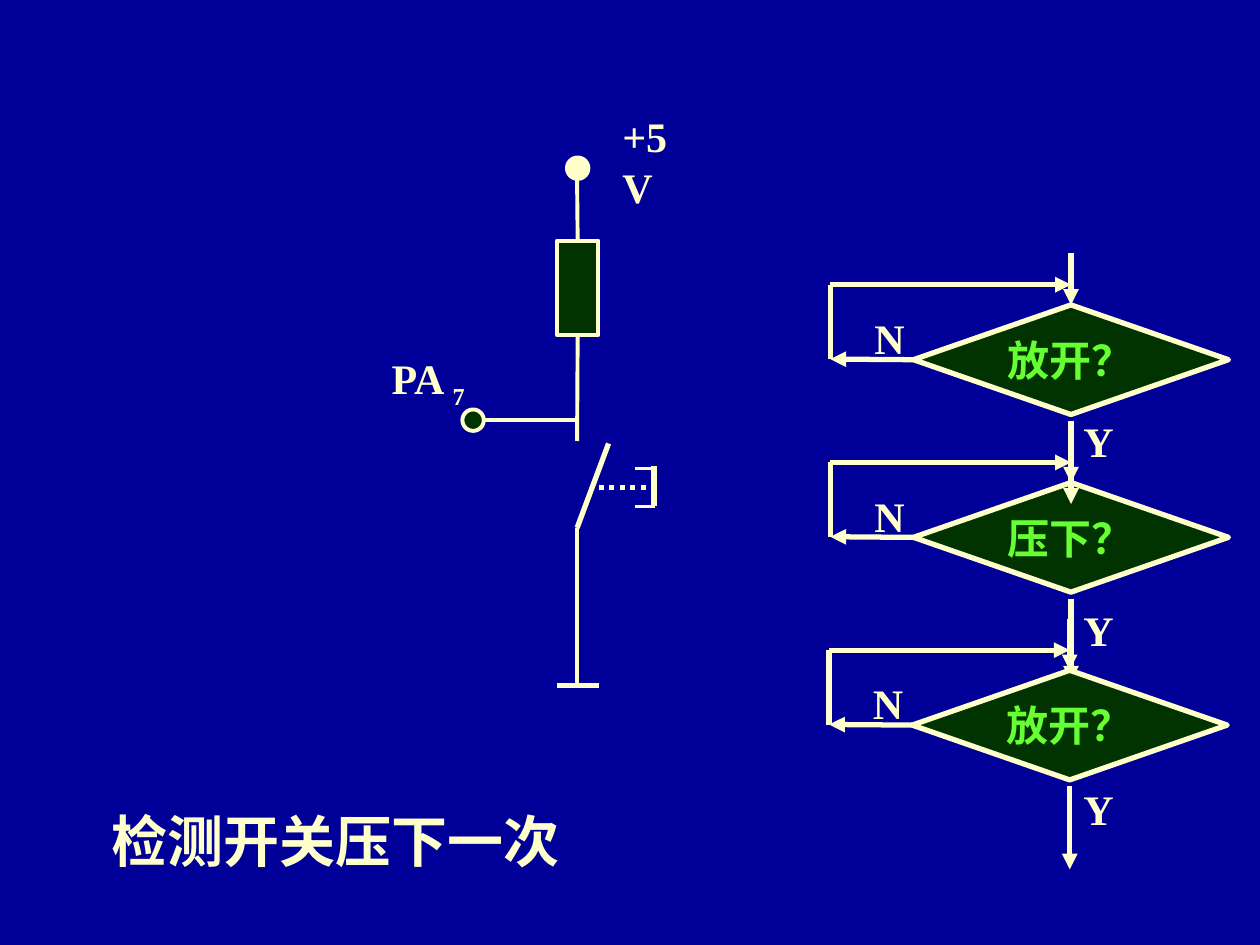
from lxml.etree import SubElement
from pptx import Presentation
from pptx.dml.color import RGBColor
from pptx.enum.dml import MSO_LINE as Dash
from pptx.enum.shapes import MSO_CONNECTOR as Link, MSO_SHAPE as Kind
from pptx.enum.text import MSO_ANCHOR as Anchor, PP_ALIGN as Align
from pptx.oxml.ns import qn
from pptx.util import Inches, Pt

BACK, CREAM, DARK, GREEN = "000099", "FFFFCC", "003300", "66FF33"
FONT = "Times New Roman"
STEPS = [
    ("压下？", 7.25, 3.83, 4.75),
    ("放开？", 7.24, 5.32, 6.17),
    ("放开？", 7.25, 2.42, 3.25),
]
WIRES = [
    (4.58, 4.19, 4.58, 5.44, 2.25),
    (4.58, 3.33, 3.83, 3.33, 2.25),
    (4.42, 5.44, 4.75, 5.44, 3),
]
SWITCH = [
    (4.83, 3.52, 4.58, 4.19, 3),
    (5.19, 3.7, 5.19, 4.02, 3),
    (5.04, 4.02, 5.2, 4.02, 1.5),
    (5.04, 3.72, 5.2, 3.72, 1.5),
]
LABELS = [("+5V", 4.84, 0.83, 0.79, 0.5), ("PA |7", 3.01, 2.75, 0.82, 0.56)]
TITLE = "检测开关压下一次"


def color(code):
    return RGBColor.from_string(code)


def write(shape, text, size=24, ink=CREAM, align=Align.LEFT, anchor=Anchor.TOP, wrap=False):
    """Fill a shape with one line; the part after a bar is a subscript."""
    frame = shape.text_frame
    frame.word_wrap = wrap
    frame.vertical_anchor = anchor
    para = frame.paragraphs[0]
    para.alignment = align
    for n, part in enumerate(text.split("|")):
        run = para.add_run()
        run.text = part
        font = run.font
        font.name, font.size, font.bold = FONT, Pt(size), True
        font.color.rgb = color(ink)
        if n:
            run._r.get_or_add_rPr().set("baseline", "-25000")


def label(slide, text, x, y, w, h, **style):
    box = slide.shapes.add_textbox(*map(Inches, (x, y, w, h)))
    write(box, text, **style)


def block(slide, kind, x, y, w, h, fill=DARK, width=2.25):
    shape = slide.shapes.add_shape(kind, *map(Inches, (x, y, w, h)))
    shape.shadow.inherit = False
    shape.fill.solid()
    shape.fill.fore_color.rgb = color(fill)
    shape.line.color.rgb = color(CREAM)
    shape.line.width = Pt(width)
    return shape


def wire(slide, x1, y1, x2, y2, width=3, arrow=False, dash=None):
    line = slide.shapes.add_connector(Link.STRAIGHT, *map(Inches, (x1, y1, x2, y2)))
    line.line.color.rgb = color(CREAM)
    line.line.width = Pt(width)
    if dash:
        line.line.dash_style = dash
    if arrow:
        SubElement(line.line._get_or_add_ln(), qn("a:tailEnd"), type="triangle")
    SubElement(line._element.spPr, qn("a:effectLst"))
    return line


def circuit(slide):
    for spec in WIRES:
        wire(slide, *spec)
    load = block(slide, Kind.RECTANGLE, 4.42, 1.91, 0.33, 0.75)
    wire(slide, 4.58, 1.43, 4.58, 1.91, 2.25).end_connect(load, 0)
    wire(slide, 4.58, 2.66, 4.58, 3.5, 2.25).begin_connect(load, 2)
    block(slide, Kind.OVAL, 3.67, 3.25, 0.17, 0.17)
    block(slide, Kind.OVAL, 4.5, 1.25, 0.17, 0.17, fill=CREAM)
    for spec in LABELS:
        label(slide, *spec)


def step(slide, text, x, y):
    mid, side, turn, back = x + 1.25, y + 0.43, x - 0.66, y - 0.16
    wire(slide, mid, y + 0.92, mid, y + 1.58, arrow=True)
    test = block(slide, Kind.FLOWCHART_DECISION, x, y, 2.5, 0.87, width=3)
    write(test, text, ink=GREEN, align=Align.CENTER, anchor=Anchor.MIDDLE)
    wire(slide, mid, y - 0.41, mid, y, arrow=True).end_connect(test, 0)
    wire(slide, x, side, turn, side, arrow=True).begin_connect(test, 1)
    wire(slide, turn, side, turn, back)
    wire(slide, turn, back, mid, back, arrow=True)
    label(slide, "N", x - 0.41, y + 0.01, 0.42, 0.5, wrap=True)


def main():
    deck = Presentation()
    deck.slide_width, deck.slide_height = Inches(10), Inches(7.5)
    slide = deck.slides.add_slide(deck.slide_layouts[6])
    slide.background.fill.solid()
    slide.background.fill.fore_color.rgb = color(BACK)
    circuit(slide)
    label(slide, TITLE, 0.58, 6.17, 4.17, 1, size=32,
          align=Align.CENTER, anchor=Anchor.MIDDLE, wrap=True)
    for text, x, y, _ in STEPS:
        step(slide, text, x, y)
    for *_, yes in STEPS:
        label(slide, "Y", 8.5, yes, 0.5, 0.5, wrap=True)
    for spec in SWITCH:
        wire(slide, *spec)
    wire(slide, 4.75, 3.87, 5.15, 3.87, dash=Dash.ROUND_DOT)
    deck.save("out.pptx")


if __name__ == "__main__":
    main()
